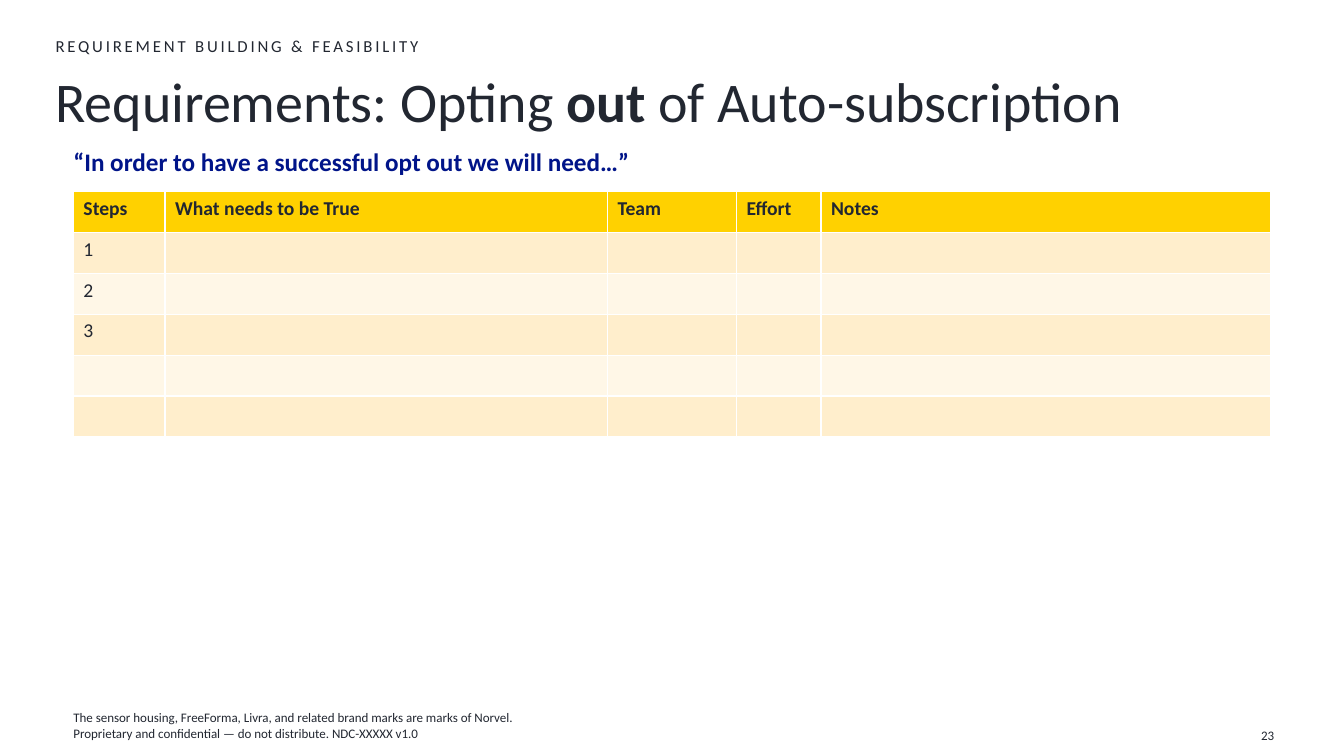
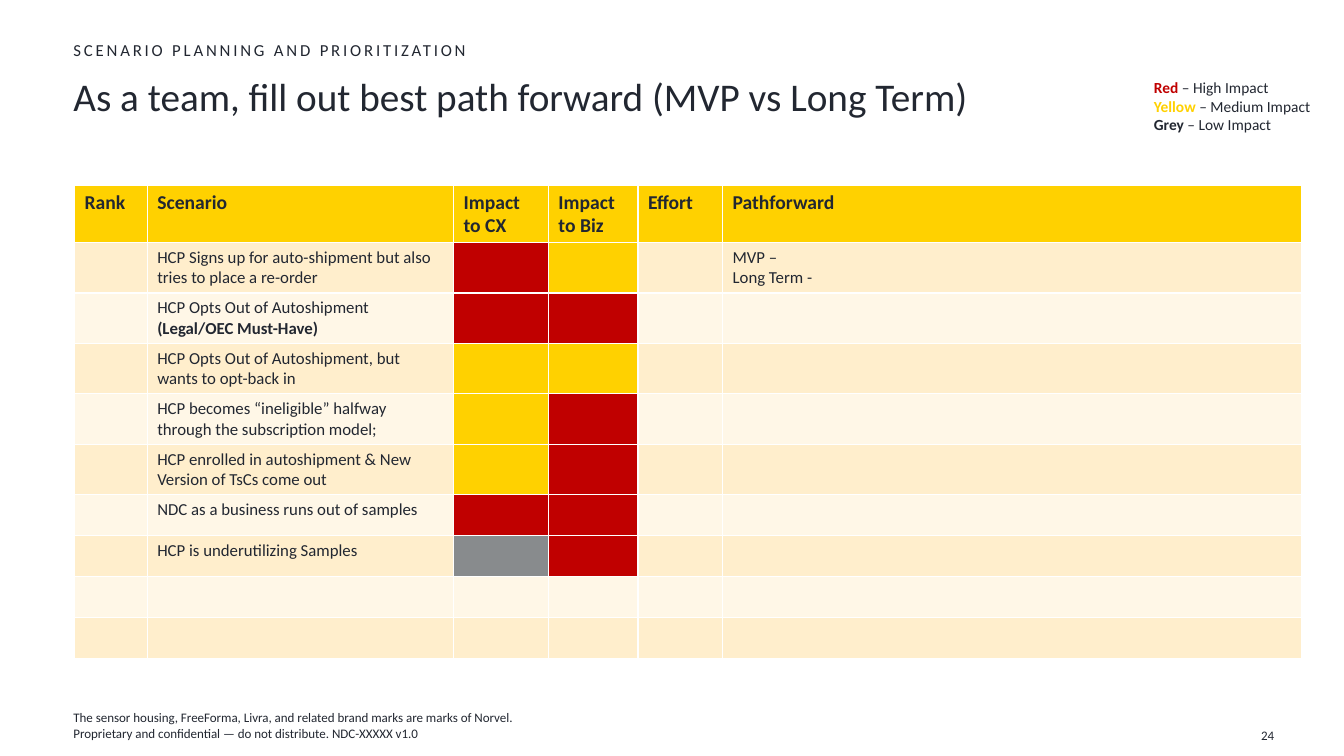
from pptx import Presentation
from pptx.dml.color import RGBColor
from pptx.enum.text import MSO_ANCHOR, MSO_AUTO_SIZE, PP_ALIGN
from pptx.util import Cm, Pt

TOP, BOTTOM = MSO_ANCHOR.TOP, MSO_ANCHOR.BOTTOM
NO_AUTOFIT = MSO_AUTO_SIZE.NONE
LEFT, RIGHT = PP_ALIGN.LEFT, PP_ALIGN.RIGHT

COLORS = {
    "ink": "222731", "navy": "001489", "yellow": "FFD100", "red": "C00000",
    "grey": "888B8D", "band_dark": "FFEECC", "band_light": "FFF7E7",
}
FONT = "Calibri"
TITLE_ONLY = 5
ROW_HEIGHT = 1.03
MARGIN = 1.85
FOOTER = [
    "The sensor housing, FreeForma, Livra, and related brand marks are marks of Norvel.",
    "Proprietary and confidential — do not distribute. NDC-XXXXX v1.0",
]
HIGH, MEDIUM, LOW = "red", "yellow", "grey"

SLIDES = [
    {
        "number": 23,
        "eyebrow": "REQUIREMENT BUILDING & FEASIBILITY",
        "eyebrow_box": (1.4, 0.91, 19.41, 0.97),
        "title": [("Requirements: Opting ", {}), ("out", {"bold": True}),
                  (" of Auto-subscription", {})],
        "title_box": (1.4, 1.88, 30.15, 1.45),
        "title_size": 40,
        "table_at": (MARGIN, 4.83),
        "columns": [2.31, 11.15, 3.25, 2.13, 11.33],
        "header": ["Steps", "What needs to be True", "Team", "Effort", "Notes"],
        "body_size": 14,
        "row_count": 5,
        "entries": {(1, 0): ["1"], (2, 0): ["2"], (3, 0): ["3"]},
        "impacts": [],
        "extra_box": (MARGIN, 3.56, 20.5, 1.02),
        "extra_inset": 0,
        "extra": ["“In order to have a successful opt out we will need…”"],
        "extra_format": {"size": 18, "bold": True, "color": "navy"},
    },
    {
        "number": 24,
        "eyebrow": "SCENARIO PLANNING AND PRIORITIZATION",
        "eyebrow_box": (MARGIN, 0.99, 19.41, 0.97),
        "title": "As a team, fill out best path forward (MVP vs Long Term)",
        "title_box": (MARGIN, 1.96, 26.37, 2.01),
        "title_size": 28,
        "table_at": (1.88, 4.67),
        "columns": [1.83, 7.72, 2.39, 2.26, 2.13, 14.6],
        "header": ["Rank", "Scenario", "Impact to CX", "Impact to Biz", "Effort",
                   "Pathforward"],
        "body_size": 12,
        "row_count": 9,
        "entries": {
            (1, 1): ["HCP Signs up for auto-shipment but also tries to place a re-order"],
            (1, 5): ["MVP –", "Long Term -"],
            (2, 1): ["HCP Opts Out of Autoshipment",
                     [("(Legal/OEC Must-Have)", {"bold": True})]],
            (3, 1): ["HCP Opts Out of Autoshipment, but wants to opt-back in"],
            (4, 1): ["HCP becomes “ineligible” halfway through the subscription model;"],
            (5, 1): ["HCP enrolled in autoshipment & New Version of TsCs come out"],
            (6, 1): ["NDC as a business runs out of samples"],
            (7, 1): ["HCP is underutilizing Samples"],
        },
        "impacts": [(HIGH, MEDIUM), (HIGH, HIGH), (MEDIUM, MEDIUM), (MEDIUM, HIGH),
                    (MEDIUM, HIGH), (HIGH, HIGH), (LOW, HIGH)],
        "extra_box": (28.83, 1.85, 4.95, 1.68),
        "extra_inset": 0.25,
        "extra": [
            [("Red", {"bold": True, "color": "red"}), (" – High Impact", {})],
            [("Yellow", {"bold": True, "color": "yellow"}), (" – Medium Impact", {})],
            [("Grey", {"bold": True}), (" – Low Impact", {})],
        ],
        "extra_format": {"size": 11},
    },
]


def write(frame, paragraphs, align=LEFT, spacing=None, **base):
    """Fill a frame; a paragraph is a string or a list of (text, format) runs."""
    for index, content in enumerate(paragraphs):
        paragraph = frame.paragraphs[0] if index == 0 else frame.add_paragraph()
        paragraph.alignment = align
        if spacing:
            paragraph.line_spacing = spacing
        for text, changes in [(content, {})] if isinstance(content, str) else content:
            style = {"name": FONT, "bold": False, "color": "ink", **base, **changes}
            run = paragraph.add_run()
            run.text = text
            run.font.color.rgb = RGBColor.from_string(COLORS[style.pop("color")])
            style["size"] = Pt(style["size"])
            for attribute, value in style.items():
                setattr(run.font, attribute, value)


def add_text(slide, box, paragraphs, insets, anchor=TOP, **style):
    frame = slide.shapes.add_textbox(*map(Cm, box)).text_frame
    settings = dict(zip(("margin_left", "margin_top", "margin_right", "margin_bottom"),
                        map(Cm, insets)))
    for attribute, value in {**settings, "word_wrap": True, "vertical_anchor": anchor}.items():
        setattr(frame, attribute, value)
    write(frame, paragraphs, **style)
    return frame


prs = Presentation()
prs.slide_width, prs.slide_height = Cm(33.87), Cm(19.05)

for content in SLIDES:
    slide = prs.slides.add_slide(prs.slide_layouts[TITLE_ONLY])

    title = slide.shapes.title
    title.left, title.top, title.width, title.height = map(Cm, content["title_box"])
    title_format = {
        "margin_left": 0, "margin_top": 0, "margin_right": Cm(0.25),
        "margin_bottom": Cm(0.13), "word_wrap": True,
        "vertical_anchor": TOP, "auto_size": NO_AUTOFIT,
    }
    for attribute, value in title_format.items():
        setattr(title.text_frame, attribute, value)
    write(title.text_frame, [content["title"]], spacing=0.9, size=content["title_size"])

    eyebrow = add_text(slide, content["eyebrow_box"], [content["eyebrow"]],
                       (0, 0, 0.25, 0.13), size=12)
    eyebrow.paragraphs[0].runs[0].font._element.set("spc", "200")

    add_text(slide, (MARGIN, 17.63, 14.12, 1.04), FOOTER, (0, 0, 0, 0),
             anchor=BOTTOM, size=9.3)
    add_text(slide, (30.81, 17.83, 1.55, 1.02), [str(content["number"])],
             (0, 0.13, 0.25, 0.13), anchor=BOTTOM, align=RIGHT, size=9.3)

    # The default table style supplies the white rules between cells
    columns = content["columns"]
    row_total = content["row_count"] + 1
    table = slide.shapes.add_table(
        row_total, len(columns), *map(Cm, content["table_at"]),
        Cm(sum(columns)), Cm(ROW_HEIGHT * row_total)).table
    for column, width in zip(table.columns, columns):
        column.width = Cm(width)

    fills = {(row, 2 + offset): level
             for row, levels in enumerate(content["impacts"], start=1)
             for offset, level in enumerate(levels)}
    for row_index, row in enumerate(table.rows):
        row.height = Cm(ROW_HEIGHT)
        band = "band_dark" if row_index % 2 else "band_light"
        if row_index == 0:
            band = "yellow"
        for column_index, cell in enumerate(row.cells):
            position = (row_index, column_index)
            cell.fill.solid()
            cell.fill.fore_color.rgb = RGBColor.from_string(COLORS[fills.get(position, band)])
            if row_index == 0:
                write(cell.text_frame, [content["header"][column_index]], size=14, bold=True)
            elif position in content["entries"]:
                write(cell.text_frame, content["entries"][position], size=content["body_size"])

    add_text(slide, content["extra_box"], content["extra"],
             (content["extra_inset"], 0.13, 0.25, 0.13), **content["extra_format"])

prs.save("out.pptx")
